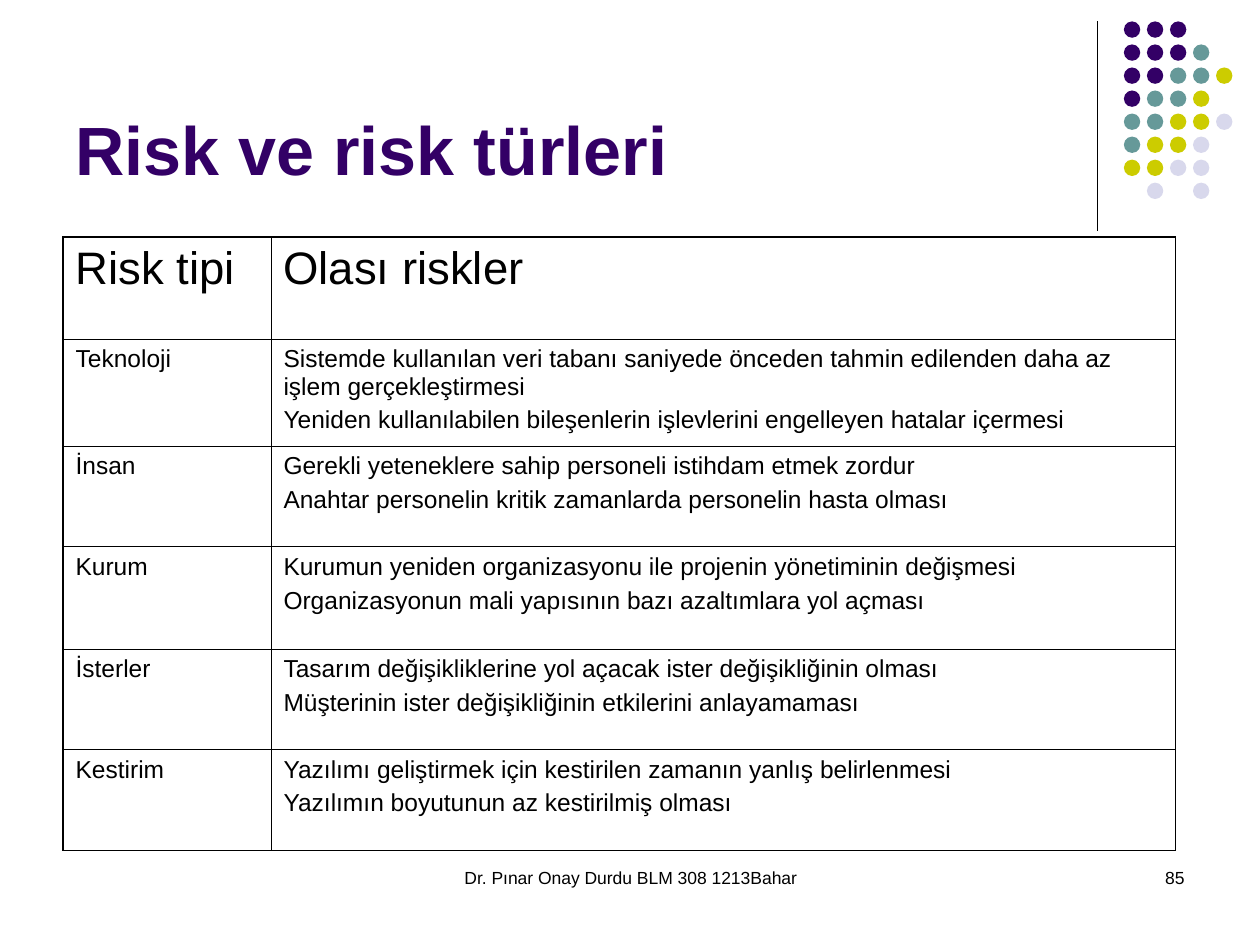
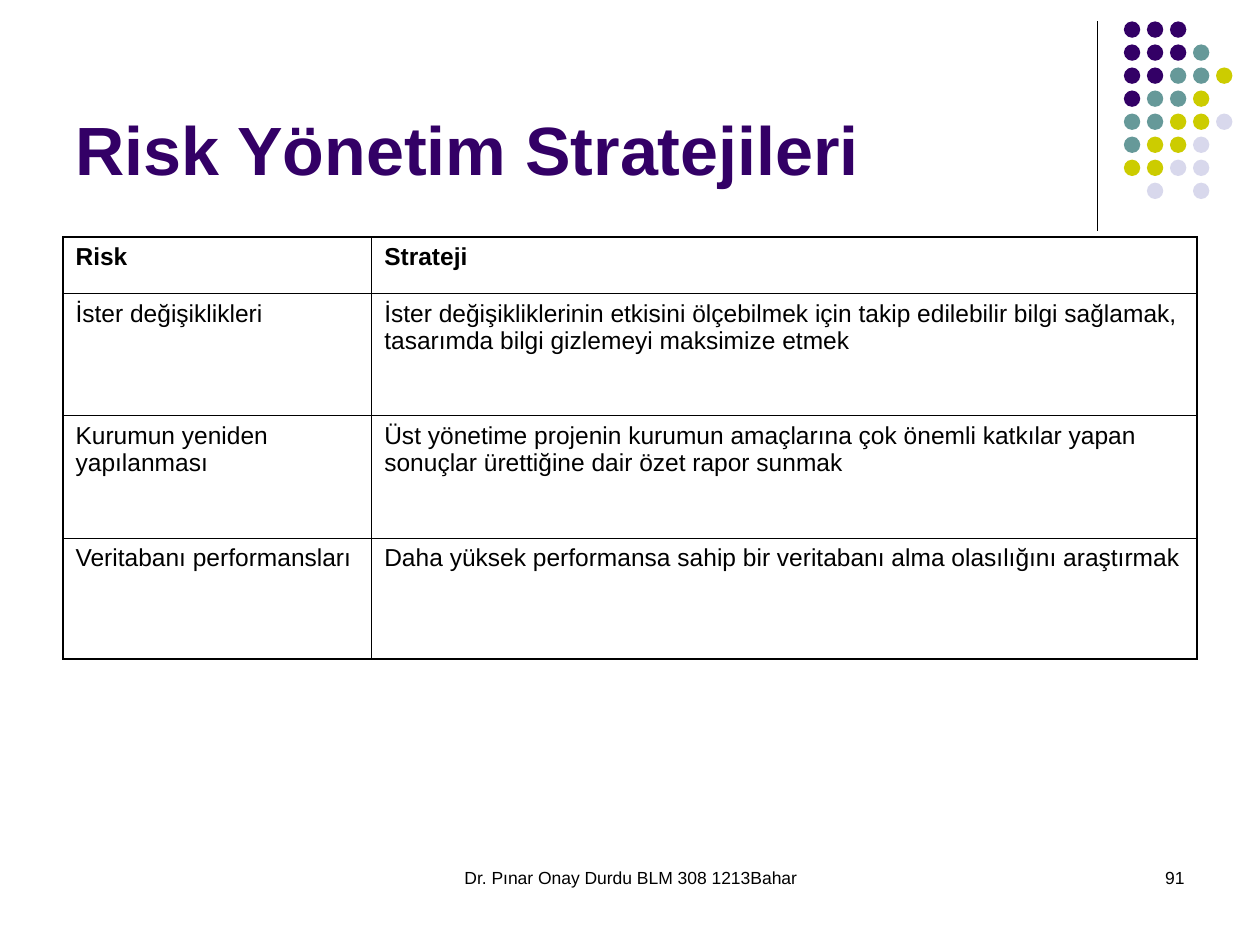
from pptx import Presentation
from pptx.dml.color import RGBColor
from pptx.enum.shapes import MSO_CONNECTOR, MSO_SHAPE
from pptx.enum.text import MSO_ANCHOR, MSO_AUTO_SIZE, PP_ALIGN
from pptx.oxml.ns import qn
from pptx.util import Inches, Pt
from lxml.etree import SubElement

BLACK = "000000"
PURPLE = "330066"
DOT_COLOURS = {"P": PURPLE, "T": "669999", "Y": "CCCC00", "L": "D8D8EC"}
DOT_ROWS = ["PPP", "PPPT", "PPTTY", "PTTY", "TTYYL", "TYYL", "YYLL", " L L"]
DOT_PITCH = 1.28 / 7
FOOTER = "Dr. Pınar Onay Durdu BLM 308 1213Bahar"
OUTER_LINE = 1.08
INNER_LINE = 0.45

PAGES = [
    {
        "title": "Risk ve risk türleri",
        "number": "85",
        "columns": [1.65, 7.18],
        "heights": [0.81, 0.85, 0.8, 0.81, 0.8, 0.8],
        "header_size": 26,
        "header_bold": False,
        "rows": [
            ["Risk tipi", "Olası riskler"],
            ["Teknoloji",
             "Sistemde kullanılan veri tabanı saniyede önceden tahmin edilenden daha az işlem gerçekleştirmesi\n"
             "Yeniden kullanılabilen bileşenlerin işlevlerini engelleyen hatalar içermesi"],
            ["İnsan",
             "Gerekli yeteneklere sahip personeli istihdam etmek zordur\n"
             "Anahtar personelin kritik zamanlarda personelin hasta olması"],
            ["Kurum",
             "Kurumun yeniden organizasyonu ile projenin yönetiminin değişmesi\n"
             "Organizasyonun mali yapısının bazı azaltımlara yol açması"],
            ["İsterler",
             "Tasarım değişikliklerine yol açacak ister değişikliğinin olması\n"
             "Müşterinin ister değişikliğinin etkilerini anlayamaması"],
            ["Kestirim",
             "Yazılımı geliştirmek için kestirilen zamanın yanlış belirlenmesi\n"
             "Yazılımın boyutunun az kestirilmiş olması"],
        ],
    },
    {
        "title": "Risk Yönetim Stratejileri",
        "number": "91",
        "columns": [2.45, 6.55],
        "heights": [0.45, 0.97, 0.97, 0.96],
        "header_size": 14,
        "header_bold": True,
        "rows": [
            ["Risk", "Strateji"],
            ["İster değişiklikleri",
             "İster değişikliklerinin etkisini ölçebilmek için takip edilebilir bilgi sağlamak, "
             "tasarımda bilgi gizlemeyi maksimize etmek"],
            ["Kurumun yeniden yapılanması",
             "Üst yönetime projenin kurumun amaçlarına çok önemli katkılar yapan sonuçlar "
             "ürettiğine dair özet rapor sunmak"],
            ["Veritabanı performansları",
             "Daha yüksek performansa sahip bir veritabanı alma olasılığını araştırmak"],
        ],
    },
]


def colour(value):
    return RGBColor.from_string(value)


def write(frame, text, size, value=BLACK, bold=False, align=PP_ALIGN.LEFT):
    frame.text = text
    frame.word_wrap = True
    for index, para in enumerate(frame.paragraphs):
        para.alignment = align
        para.space_before = Pt(size / 4 if index else 0)
        for span in para.runs:
            span.font.name = "Arial"
            span.font.size = Pt(size)
            span.font.bold = bold
            span.font.color.rgb = colour(value)


deck = Presentation()
deck.slide_width = Inches(10)
deck.slide_height = Inches(7.5)

for content in PAGES:
    page = deck.slides.add_slide(deck.slide_layouts[5])

    title = page.shapes.title
    title.left, title.top = Inches(0.5), Inches(0.13)
    title.width, title.height = Inches(8.25), Inches(1.42)
    write(title.text_frame, content["title"], 39, PURPLE, True)
    title.text_frame.vertical_anchor = MSO_ANCHOR.BOTTOM
    title.text_frame.auto_size = MSO_AUTO_SIZE.NONE

    divider = page.shapes.add_connector(
        MSO_CONNECTOR.STRAIGHT, Inches(8.71), Inches(0.17), Inches(8.71), Inches(1.83))
    divider.line.color.rgb = colour(BLACK)
    divider.line.width = Pt(0.75)
    SubElement(divider._element.spPr, qn("a:effectLst"))

    dots = page.shapes.add_group_shape()
    for row, letters in enumerate(DOT_ROWS):
        for column, letter in enumerate(letters):
            if letter == " ":
                continue
            dot = dots.shapes.add_shape(
                MSO_SHAPE.OVAL, Inches(8.92 + column * DOT_PITCH),
                Inches(0.17 + row * DOT_PITCH), Inches(0.13), Inches(0.13))
            dot.shadow.inherit = False
            dot.fill.solid()
            dot.fill.fore_color.rgb = colour(DOT_COLOURS[letter])
            dot.line.fill.background()

    for left, width, text, align in [
        (3.42, 3.17, FOOTER, PP_ALIGN.CENTER),
        (7.17, 2.33, content["number"], PP_ALIGN.RIGHT),
    ]:
        box = page.shapes.add_textbox(Inches(left), Inches(6.83), Inches(width), Inches(0.5))
        write(box.text_frame, text, 10, align=align)

    rows, columns, heights = content["rows"], content["columns"], content["heights"]
    table = page.shapes.add_table(
        len(rows), len(columns), Inches(0.5), Inches(1.88),
        Inches(sum(columns)), Inches(sum(heights))).table
    table.first_row = False
    table.horz_banding = False
    for column, width in enumerate(columns):
        table.columns[column].width = Inches(width)
    for row, texts in enumerate(rows):
        table.rows[row].height = Inches(heights[row])
        for column, text in enumerate(texts):
            cell = table.cell(row, column)
            size = 14 if row else content["header_size"]
            write(cell.text_frame, text, size, bold=row == 0 and content["header_bold"])
            properties = cell._tc.get_or_add_tcPr()
            for side, is_outer in [
                ("L", column == 0), ("R", column == len(columns) - 1),
                ("T", row == 0), ("B", row == len(rows) - 1),
            ]:
                width = Pt(OUTER_LINE if is_outer else INNER_LINE)
                border = SubElement(properties, qn(f"a:ln{side}"), w=str(width))
                fill = SubElement(border, qn("a:solidFill"))
                SubElement(fill, qn("a:srgbClr"), val=BLACK)
            cell.fill.background()

deck.save("out.pptx")
